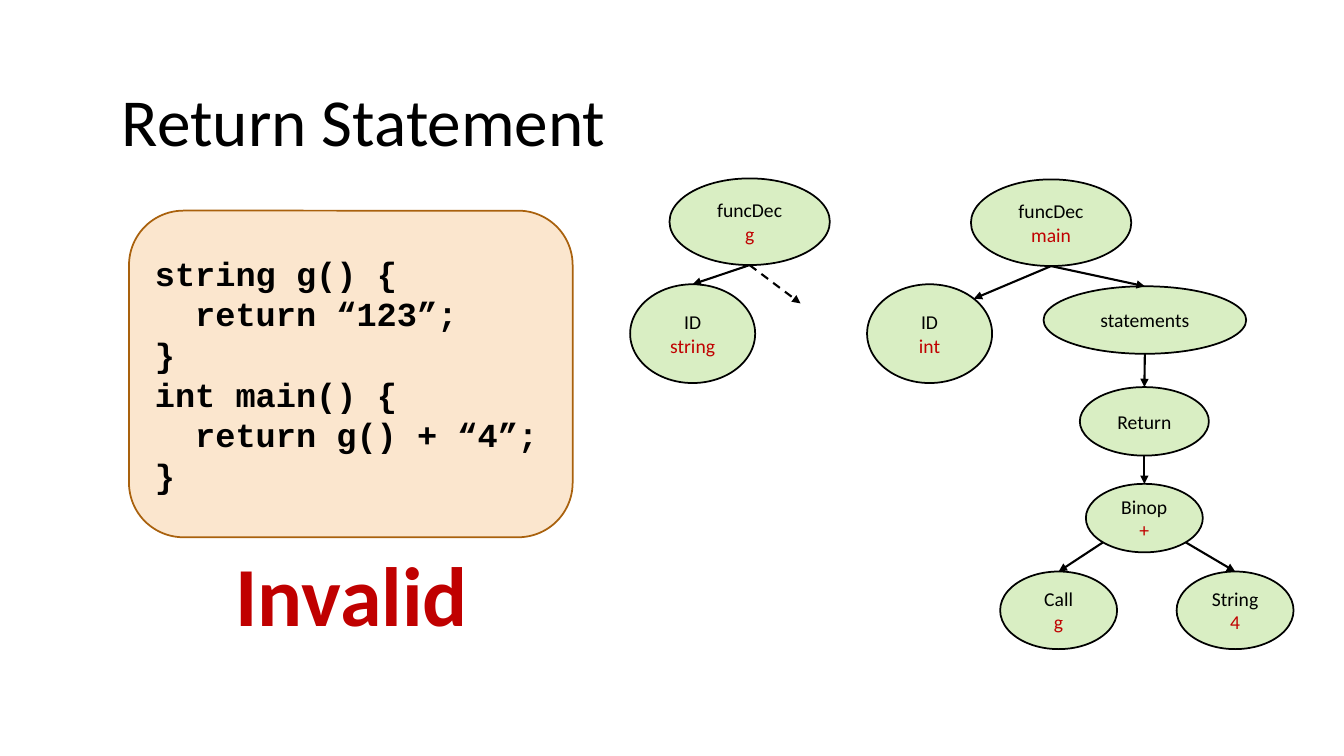
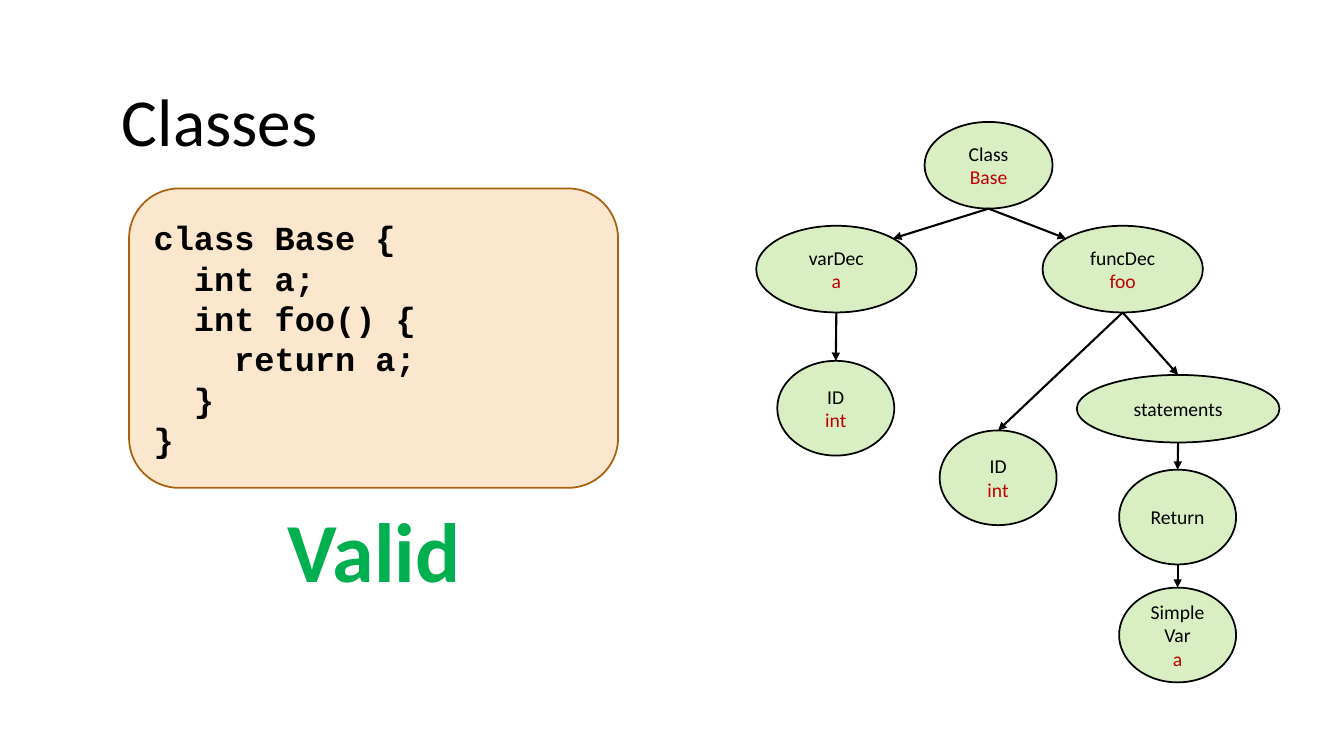
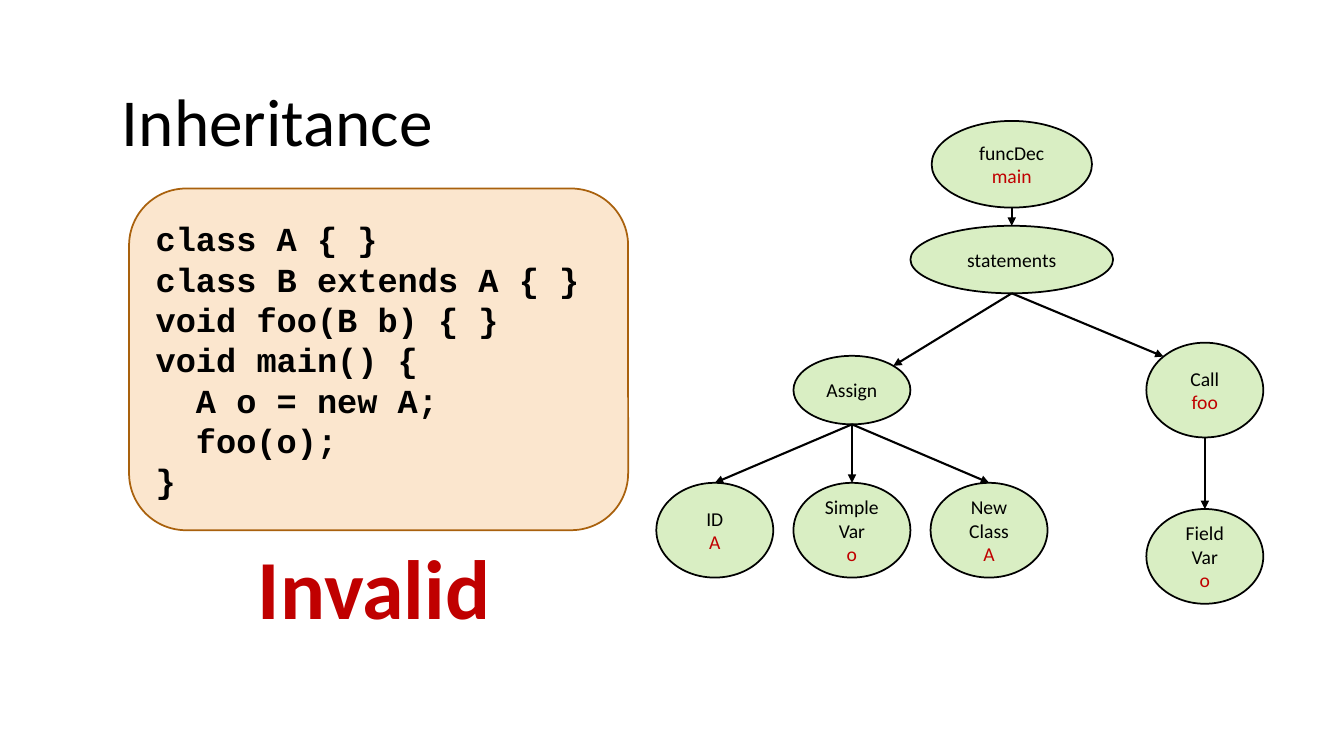
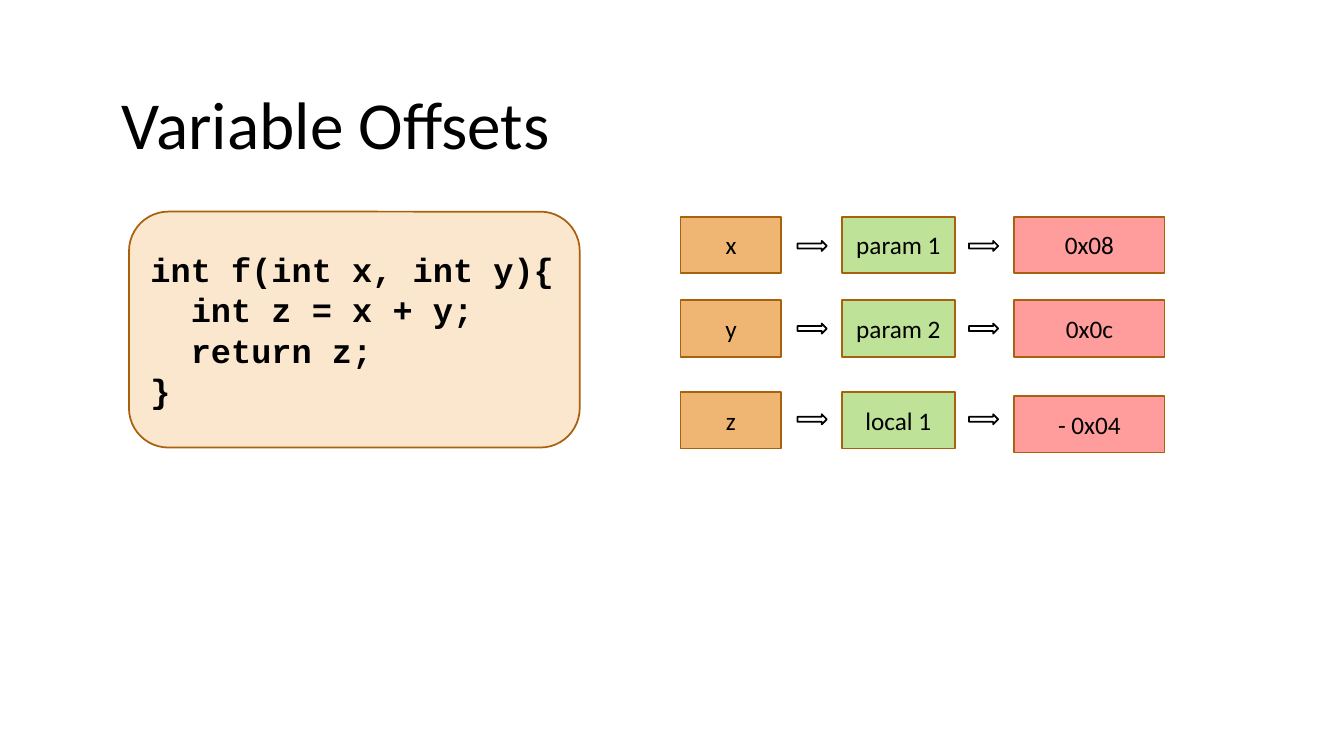
from math import cos, pi, sin

from lxml import etree
from pptx import Presentation
from pptx.dml.color import RGBColor
from pptx.enum.dml import MSO_LINE
from pptx.enum.shapes import MSO_CONNECTOR, MSO_SHAPE
from pptx.enum.text import MSO_ANCHOR, MSO_AUTO_SIZE, PP_ALIGN
from pptx.oxml.ns import qn
from pptx.util import Inches, Pt

LEFT = PP_ALIGN.LEFT
CENTER = PP_ALIGN.CENTER
MIDDLE = MSO_ANCHOR.MIDDLE
NO_AUTO_SIZE = MSO_AUTO_SIZE.NONE
ELLIPSE = MSO_SHAPE.OVAL
RECTANGLE = MSO_SHAPE.RECTANGLE
ROUNDED = MSO_SHAPE.ROUNDED_RECTANGLE
RIGHT_ARROW = MSO_SHAPE.RIGHT_ARROW
STRAIGHT = MSO_CONNECTOR.STRAIGHT
DASH = MSO_LINE.DASH

TITLE_ONLY = 5
TOP, TOP_LEFT, BOTTOM_LEFT, BOTTOM, BOTTOM_RIGHT, TOP_RIGHT = 0, 1, 3, 4, 5, 7

FUNCTION = (1.59, 0.86)
STATEMENTS = (2.01, 0.67)
ROUND = (1.16, 0.94)
FLAT = (1.16, 0.68)
LEAF = (1.16, 0.77)
IDENTIFIER = (1.24, 0.98)
CLASS = (1.27, 0.86)
RETURN = (1.28, 0.68)


def color(hex_string):
    return RGBColor.from_string(hex_string)


class Deck:
    BLACK, WHITE, RED, GREEN = "000000", "FFFFFF", "C00000", "00B050"
    LIME, ORANGE, PINK = "92D050", "E48312", "FF0000"
    CODE_FILL, BROWN = "FBE6CE", "A9610D"
    TEXT_FONT, CODE_FONT = "Calibri", "Courier New"
    CODE_SIZE = 24
    CODE_CHARACTER = 0.2

    def __init__(self):
        self.presentation = Presentation()
        self.presentation.slide_width = Inches(13.33)
        self.presentation.slide_height = Inches(7.5)
        self.slide = None

    def format(self, paragraph, size, hex_string=BLACK, font=TEXT_FONT, bold=False, align=CENTER):
        paragraph.alignment = align
        for run in paragraph.runs:
            run.font.name = font
            run.font.size = Pt(size)
            run.font.bold = bold
            run.font.color.rgb = color(hex_string)

    def add_slide(self, title, top=0.73):
        layout = self.presentation.slide_layouts[TITLE_ONLY]
        self.slide = self.presentation.slides.add_slide(layout)
        shape = self.slide.shapes.title
        shape.left, shape.top = Inches(1.11), Inches(top)
        shape.width, shape.height = Inches(11.09), Inches(0.91)
        shape.text_frame.text = title
        shape.text_frame.auto_size = NO_AUTO_SIZE
        shape.text_frame.vertical_anchor = MIDDLE
        self.format(shape.text_frame.paragraphs[0], 48, align=LEFT)

    def shape(self, kind, left, top, width, height, fill, line=BLACK, opacity=100, text=""):
        shape = self.slide.shapes.add_shape(
            kind, Inches(left), Inches(top), Inches(width), Inches(height))
        shape.shadow.inherit = False
        shape.fill.solid()
        shape.fill.fore_color.rgb = color(fill)
        if opacity < 100:
            solid_fill = shape._element.spPr.find(qn("a:solidFill"))
            etree.SubElement(solid_fill[0], qn("a:alpha"), val=str(opacity * 1000))
        shape.line.color.rgb = color(line)
        shape.line.width = Pt(1.25)
        shape.text_frame.word_wrap = True
        shape.text_frame.vertical_anchor = MIDDLE
        shape.text_frame.text = text
        return shape

    def code(self, top, width, height, lines):
        shape = self.shape(ROUNDED, 1.28, top, width, height, self.CODE_FILL, self.BROWN,
                           text="\n".join(line.strip() for line in lines))
        for paragraph, line in zip(shape.text_frame.paragraphs, lines):
            indent = len(line) - len(line.lstrip())
            properties = paragraph._p.get_or_add_pPr()
            properties.set("marL", str(Inches(indent * self.CODE_CHARACTER)))
            self.format(paragraph, self.CODE_SIZE, font=self.CODE_FONT, bold=True, align=LEFT)

    def verdict(self, left, top, text, hex_string):
        shape = self.slide.shapes.add_textbox(
            Inches(left), Inches(top), Inches(3.06), Inches(1.11))
        shape.text_frame.word_wrap = True
        shape.text_frame.text = text
        self.format(shape.text_frame.paragraphs[0], 60, hex_string, bold=True)

    def node(self, left, top, size, label, detail=""):
        text = f"{label}\n{detail}" if detail else label
        shape = self.shape(ELLIPSE, left, top, *size, self.LIME, opacity=34, text=text)
        paragraphs = shape.text_frame.paragraphs
        for paragraph in paragraphs:
            self.format(paragraph, 14)
        if detail:
            self.format(paragraphs[-1], 14, self.RED)
        return shape

    def port(self, shape, site):
        angle = pi / 2 + site * pi / 4
        return (int(shape.left + shape.width * (1 + cos(angle)) / 2),
                int(shape.top + shape.height * (1 - sin(angle)) / 2))

    def arrow(self, begin, end):
        connector = self.slide.shapes.add_connector(STRAIGHT, *begin, *end)
        connector.line.color.rgb = color(self.BLACK)
        connector.line.width = Pt(1.5)
        line = connector.line._get_or_add_ln()
        etree.SubElement(line, qn("a:tailEnd"), type="triangle")
        etree.SubElement(connector._element.spPr, qn("a:effectLst"))
        return connector

    def link(self, parent, child, child_site=TOP, parent_site=BOTTOM):
        connector = self.arrow(self.port(parent, parent_site), self.port(child, child_site))
        joints = connector._element.find(".//" + qn("p:cNvCxnSpPr"))
        for tag, shape, site in (("a:stCxn", parent, parent_site), ("a:endCxn", child, child_site)):
            etree.SubElement(joints, qn(tag), id=str(shape.shape_id), idx=str(site))

    def box(self, left, top, width, text, fill, opacity):
        shape = self.shape(RECTANGLE, left, top, width, 0.56, fill, self.BROWN, opacity, text)
        self.format(shape.text_frame.paragraphs[0], 18)

    def block_arrow(self, left, top):
        self.shape(RIGHT_ARROW, left, top, 0.29, 0.1, self.WHITE)


def return_statement(deck):
    deck.add_slide("Return Statement")
    deck.verdict(1.96, 5.33, "Invalid", deck.RED)
    deck.code(2.09, 4.4, 3.24, [
        "string g() {",
        "  return “123”;",
        "}",
        "int main() {",
        "  return g() + “4”;",
        "}",
    ])
    function_g = deck.node(6.64, 1.77, FUNCTION, "funcDec", "g")
    type_string = deck.node(6.25, 2.82, IDENTIFIER, "ID", "string")
    main = deck.node(9.63, 1.78, FUNCTION, "funcDec", "main")
    type_int = deck.node(8.6, 2.82, IDENTIFIER, "ID", "int")
    statements = deck.node(10.35, 2.84, STATEMENTS, "statements")
    return_node = deck.node(10.71, 3.84, RETURN, "Return")
    operation = deck.node(10.77, 4.8, FLAT, "Binop", "+")
    call = deck.node(9.92, 5.67, LEAF, "Call", "g")
    literal = deck.node(11.67, 5.67, LEAF, "String", "4")
    deck.link(function_g, type_string)
    omitted = deck.arrow(deck.port(function_g, BOTTOM), (Inches(7.94), Inches(3.01)))
    omitted.line.dash_style = DASH
    deck.link(main, type_int, TOP_RIGHT)
    deck.link(main, statements)
    deck.link(statements, return_node)
    deck.link(return_node, operation)
    deck.link(operation, call, parent_site=BOTTOM_LEFT)
    deck.link(operation, literal, parent_site=BOTTOM_RIGHT)


def classes(deck):
    deck.add_slide("Classes")
    deck.code(1.87, 4.85, 2.97, [
        "class Base {",
        "  int a;",
        "  int foo() {",
        "    return a;",
        "  }",
        "}",
    ])
    deck.verdict(2.18, 4.9, "Valid", deck.GREEN)
    base = deck.node(9.17, 1.21, CLASS, "Class", "Base")
    variable = deck.node(7.5, 2.24, FUNCTION, "varDec", "a")
    variable_type = deck.node(7.71, 3.58, ROUND, "ID", "int")
    function = deck.node(10.34, 2.24, FUNCTION, "funcDec", "foo")
    function_type = deck.node(9.32, 4.27, ROUND, "ID", "int")
    statements = deck.node(10.68, 3.72, STATEMENTS, "statements")
    return_node = deck.node(11.1, 4.66, ROUND, "Return")
    simple_variable = deck.node(11.1, 5.83, ROUND, "Simple\nVar", "a")
    deck.link(base, variable, TOP_RIGHT)
    deck.link(base, function, TOP_LEFT)
    deck.link(variable, variable_type)
    deck.link(function, function_type)
    deck.link(function, statements)
    deck.link(statements, return_node)
    deck.link(return_node, simple_variable)


def inheritance(deck):
    deck.add_slide("Inheritance")
    deck.code(1.87, 4.95, 3.39, [
        "class A { }",
        "class B extends A { }",
        "void foo(B b) { }",
        "void main() {",
        "  A o = new A;",
        "  foo(o);",
        "}",
    ])
    deck.verdict(2.18, 5.26, "Invalid", deck.RED)
    main = deck.node(9.24, 1.2, FUNCTION, "funcDec", "main")
    statements = deck.node(9.03, 2.24, STATEMENTS, "statements")
    assign = deck.node(7.87, 3.53, FLAT, "Assign")
    call = deck.node(11.37, 3.4, ROUND, "Call", "foo")
    field_variable = deck.node(11.37, 5.05, ROUND, "Field\nVar", "o")
    deck.link(main, statements)
    deck.link(statements, assign, TOP_RIGHT)
    deck.link(statements, call, TOP_LEFT)
    deck.link(call, field_variable)
    operands = [("ID", "A"), ("Simple\nVar", "o"), ("New\nClass", "A")]
    for index, (label, detail) in enumerate(operands):
        deck.link(assign, deck.node(6.51 + index * 1.36, 4.79, ROUND, label, detail))


def variable_offsets(deck):
    deck.add_slide("Variable Offsets", top=0.76)
    deck.code(2.1, 4.47, 2.34, [
        "int f(int x, int y){",
        "  int z = x + y;",
        "  return z;",
        "}",
    ])
    rows = [
        ("x", "param 1", "0x08", 2.15, 2.15, 2.39),
        ("y", "param 2", "0x0c", 2.98, 2.98, 3.21),
        ("z", "local 1", "- 0x04", 3.89, 3.93, 4.11),
    ]
    for name, role, offset, top, offset_top, arrow_top in rows:
        deck.box(6.75, top, 1, name, deck.ORANGE, 59)
        deck.box(8.35, top, 1.12, role, deck.LIME, 59)
        deck.box(10.06, offset_top, 1.49, offset, deck.PINK, 39)
        for arrow_left in (7.91, 9.61):
            deck.block_arrow(arrow_left, arrow_top)


def main():
    deck = Deck()
    for build in (return_statement, classes, inheritance, variable_offsets):
        build(deck)
    deck.presentation.save("out.pptx")


if __name__ == "__main__":
    main()
